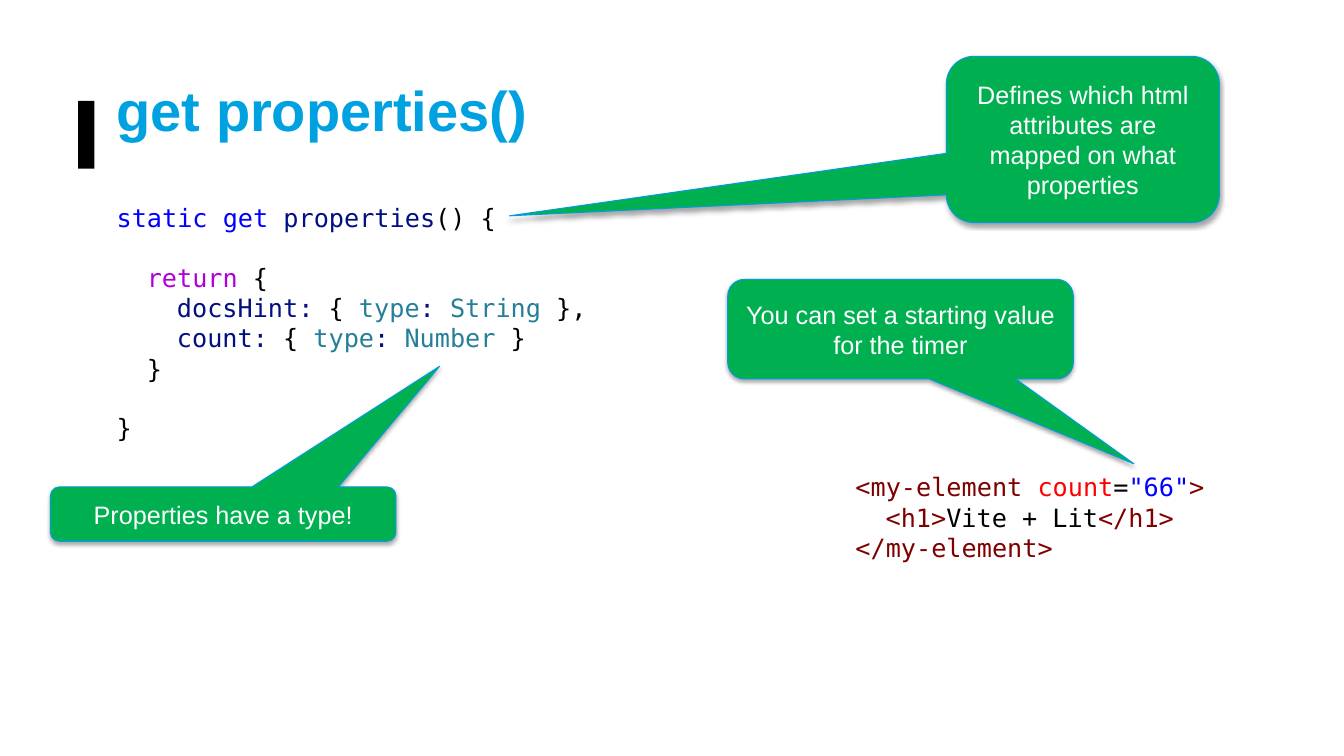
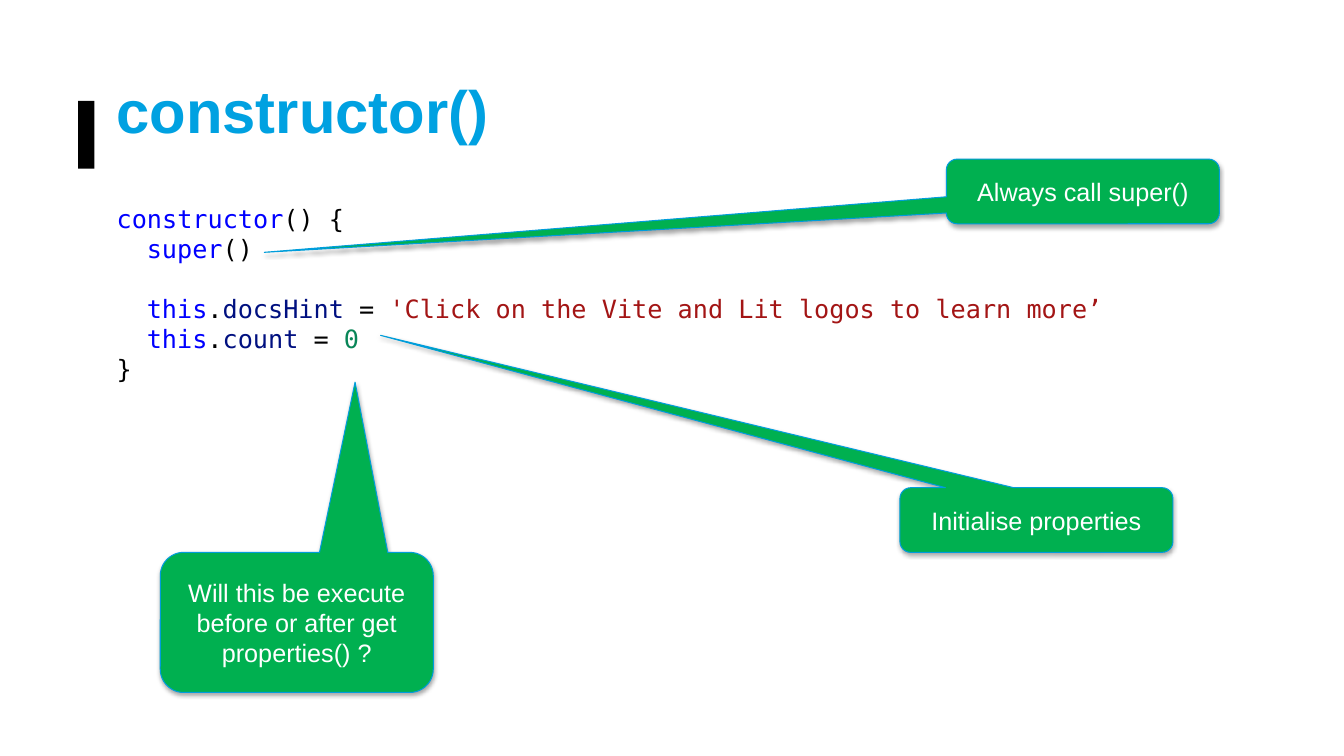
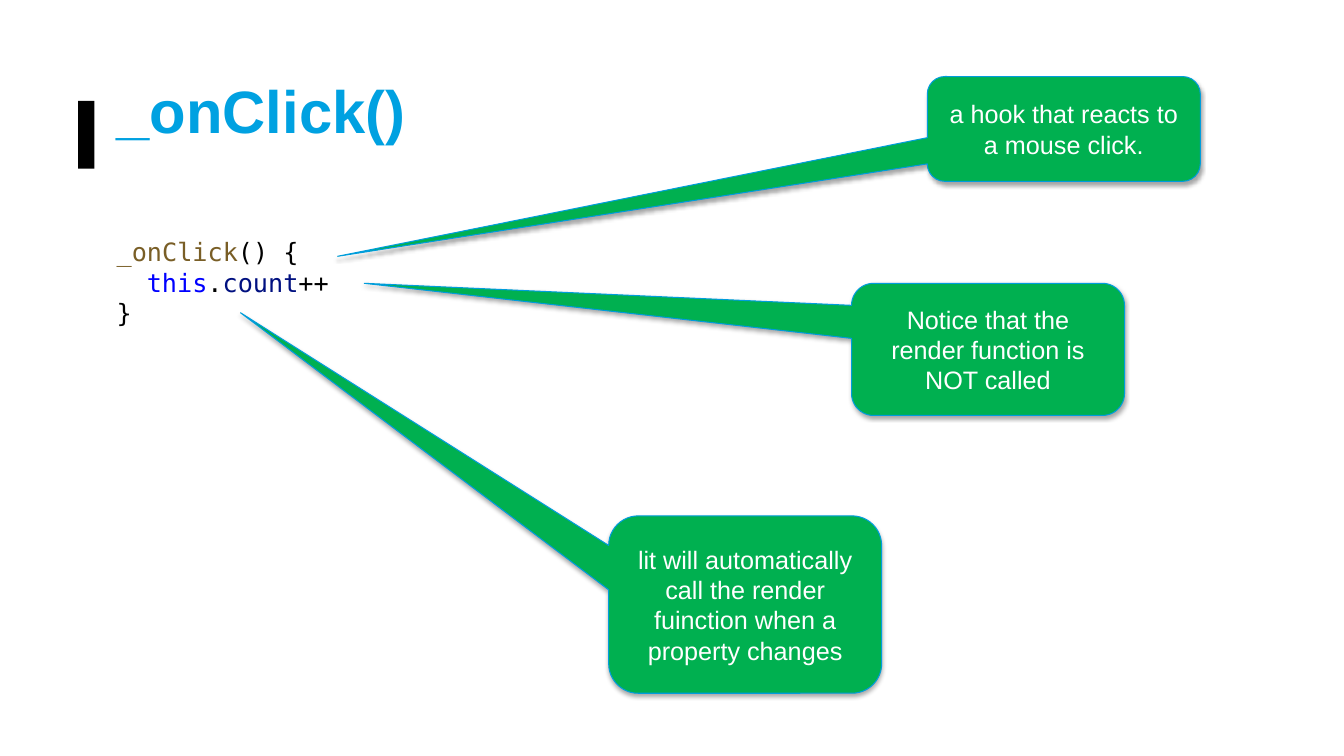
import pptx
import pptx.util
import pptx.dml.color
import pptx.enum.shapes
import pptx.enum.text
import lxml.etree
from pptx.util import Cm, Pt

HUES = {
    "title": "00A1E1", "bar": "000000", "call": "00B050", "edge": "009DDC",
    "white": "FFFFFF", "black": "000000", "blue": "0000FF", "navy": "001080",
    "pink": "AF00DB", "teal": "267F99", "tag": "800000", "red": "FF0000",
    "quote": "A31515", "digit": "098658", "brown": "795E26",
}
SANS, MONO = "Arial", "DejaVu Sans Mono"
STEP = Cm(0.76)  # one level of code, two characters wide
ROW = Pt(21)     # height of one line of code
DRAW = "http://schemas.openxmlformats.org/drawingml/2006/main"
SHADE = (
    f'<a:outerShdw xmlns:a="{DRAW}" blurRad="40000" dist="23000" dir="5400000" '
    'rotWithShape="0"><a:srgbClr val="000000"><a:alpha val="35000"/></a:srgbClr>'
    '</a:outerShdw>'
)
ALIGN = pptx.enum.text.PP_ALIGN
MIDDLE = pptx.enum.text.MSO_ANCHOR.MIDDLE
TOP = pptx.enum.text.MSO_ANCHOR.TOP
KIND = pptx.enum.shapes.MSO_SHAPE


def tint(name):
    return pptx.dml.color.RGBColor.from_string(HUES[name])


def write(shape, lines, font=SANS, size=18, bold=False, align=ALIGN.LEFT, anchor=TOP):
    """Fill a shape with lines, each (level, rows left free above, (hue, text)...)."""
    frame = shape.text_frame
    frame.word_wrap = True
    frame.vertical_anchor = anchor
    for index, (level, free, *parts) in enumerate(lines):
        para = frame.add_paragraph() if index else frame.paragraphs[0]
        para.alignment = align
        para.space_before = free * ROW
        para._p.get_or_add_pPr().set("marL", str(level * STEP))
        for hue, text in parts:
            run = para.add_run()
            run.text = text
            run.font.name = font
            run.font.size = Pt(size)
            run.font.bold = bold
            run.font.color.rgb = tint(hue)


# Code: (left, top, width, height), lines. Callouts: box, tip, text.
PAGES = [
    {
        "title": "get properties()", "size": 40,
        "code": [
            ((2.69, 4.98, 13.31, 6.4), [
                (0, 0, ("blue", "static get "), ("navy", "properties"), ("black", "() {")),
                (1, 1, ("pink", "return"), ("black", " {")),
                (2, 0, ("navy", "docsHint:"), ("black", " { "), ("teal", "type"),
                 ("navy", ": "), ("teal", "String"), ("black", " },")),
                (2, 0, ("navy", "count:"), ("black", " { "), ("teal", "type"),
                 ("navy", ": "), ("teal", "Number"), ("black", " }")),
                (1, 0, ("black", "}")),
                (0, 1, ("black", "}")),
            ]),
            ((21.31, 11.76, 9.42, 3.33), [
                (0, 0, ("tag", "<my-element "), ("red", "count"), ("black", "="),
                 ("blue", '"66"'), ("tag", ">")),
                (1, 0, ("tag", "<h1>"), ("black", "Vite + Lit"), ("tag", "</h1>")),
                (0, 0, ("tag", "</my-element>")),
            ]),
        ],
        "calls": [
            ((23.85, 1.42, 6.88, 4.19), (12.84, 5.44),
             "Defines which html attributes are mapped on what properties"),
            ((18.34, 7.04, 8.71, 2.51), (28.58, 11.69),
             "You can set a starting value for the timer"),
            ((1.27, 12.27, 8.71, 1.37), (11.08, 9.23), "Properties have a type!"),
        ],
    },
    {
        "title": "constructor()", "size": 42.7,
        "code": [
            ((2.69, 5, 27.56, 4.88), [
                (0, 0, ("blue", "constructor"), ("black", "() {")),
                (1, 0, ("blue", "super"), ("black", "()")),
                (1, 1, ("blue", "this"), ("black", "."), ("navy", "docsHint"), ("black", " = "),
                 ("quote", "'Click on the Vite and Lit logos to learn more’")),
                (1, 0, ("blue", "this"), ("black", "."), ("navy", "count"), ("black", " = "),
                 ("digit", "0")),
                (0, 0, ("black", "}")),
            ]),
        ],
        "calls": [
            ((23.85, 4.01, 6.88, 1.63), (6.66, 6.36), "Always call super()"),
            ((22.68, 12.29, 6.88, 1.63), (9.59, 8.45), "Initialise properties"),
            ((4.04, 13.92, 6.88, 3.53), (8.95, 9.63),
             "Will this be execute before or after get properties() ?"),
        ],
    },
    {
        "title": "_onClick()", "size": 42.7,
        "code": [
            ((2.69, 5.84, 5.95, 3.33), [
                (0, 0, ("brown", "_onClick"), ("black", "() {")),
                (1, 0, ("blue", "this"), ("black", "."), ("navy", "count"), ("black", "++")),
                (0, 0, ("black", "}")),
            ]),
        ],
        "calls": [
            ((23.37, 1.93, 6.88, 2.64), (8.51, 6.46), "a hook that reacts to a mouse click."),
            ((21.46, 7.14, 6.88, 3.33), (9.18, 7.14),
             "Notice that the render function is NOT called"),
            ((15.34, 13, 6.88, 4.47), (6.06, 7.88),
             "lit will automatically call the render fuinction when a property changes"),
        ],
    },
]

deck = pptx.Presentation()
deck.slide_width, deck.slide_height = Cm(33.87), Cm(19.05)

for page in PAGES:
    shapes = deck.slides.add_slide(deck.slide_layouts[6]).shapes

    bar = shapes.add_shape(KIND.RECTANGLE, Cm(1.97), Cm(2.54), Cm(0.41), Cm(1.71))
    bar.shadow.inherit = False
    bar.fill.solid()
    bar.fill.fore_color.rgb = tint("bar")
    bar.line.fill.background()

    head = shapes.add_textbox(Cm(2.69), Cm(0.91), Cm(27.56), Cm(3.68))
    write(head, [(0, 0, ("title", page["title"]))], size=page["size"], bold=True, anchor=MIDDLE)

    for box, lines in page["code"]:
        write(shapes.add_textbox(*map(Cm, box)), lines, font=MONO)

    for box, tip, text in page["calls"]:
        left, top, width, height = box
        call = shapes.add_shape(KIND.ROUNDED_RECTANGULAR_CALLOUT, *map(Cm, box))
        call.adjustments[0] = (tip[0] - left) / width - 0.5
        call.adjustments[1] = (tip[1] - top) / height - 0.5
        call.adjustments[2] = 0.167
        call.fill.solid()
        call.fill.fore_color.rgb = tint("call")
        call.line.color.rgb = tint("edge")
        call.line.width = Pt(0.75)
        call.shadow.inherit = False
        effects = call._element.spPr.find(f"{{{DRAW}}}effectLst")
        effects.append(lxml.etree.fromstring(SHADE))
        write(call, [(0, 0, ("white", text))], align=ALIGN.CENTER, anchor=MIDDLE)

deck.save("out.pptx")
